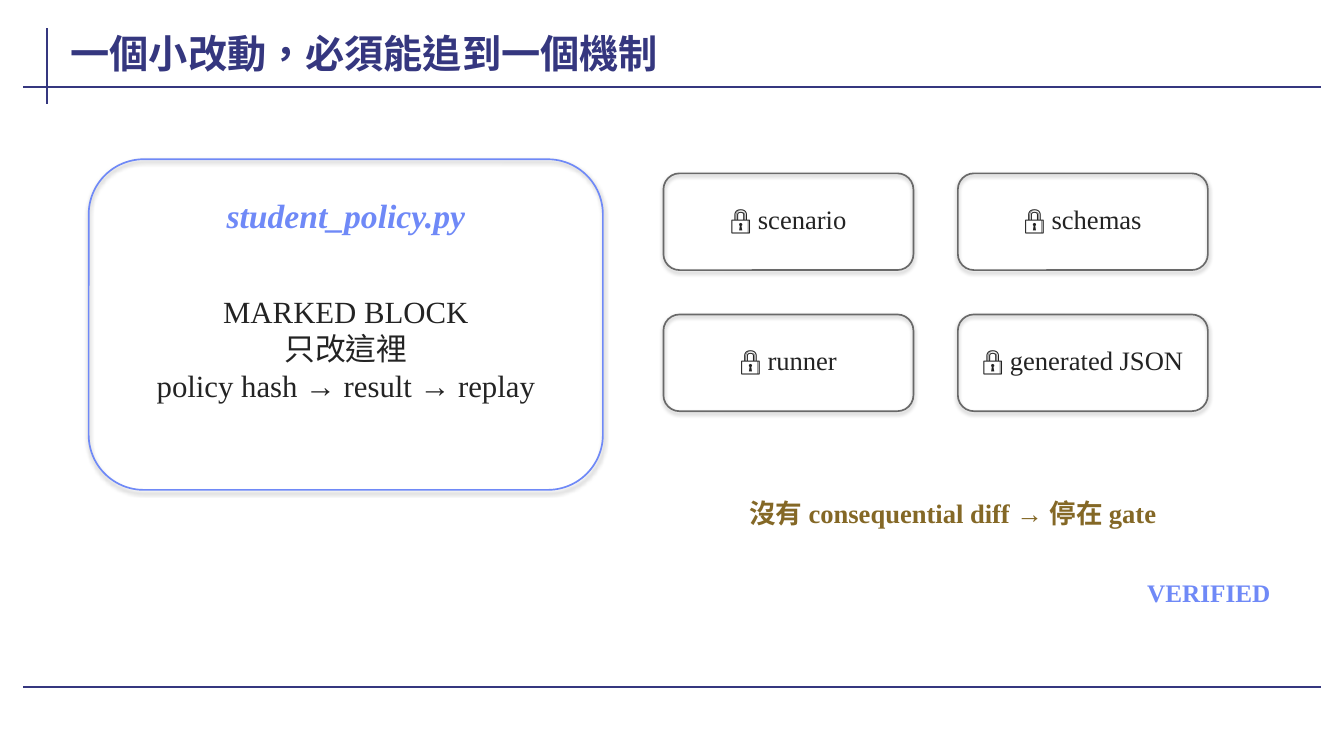
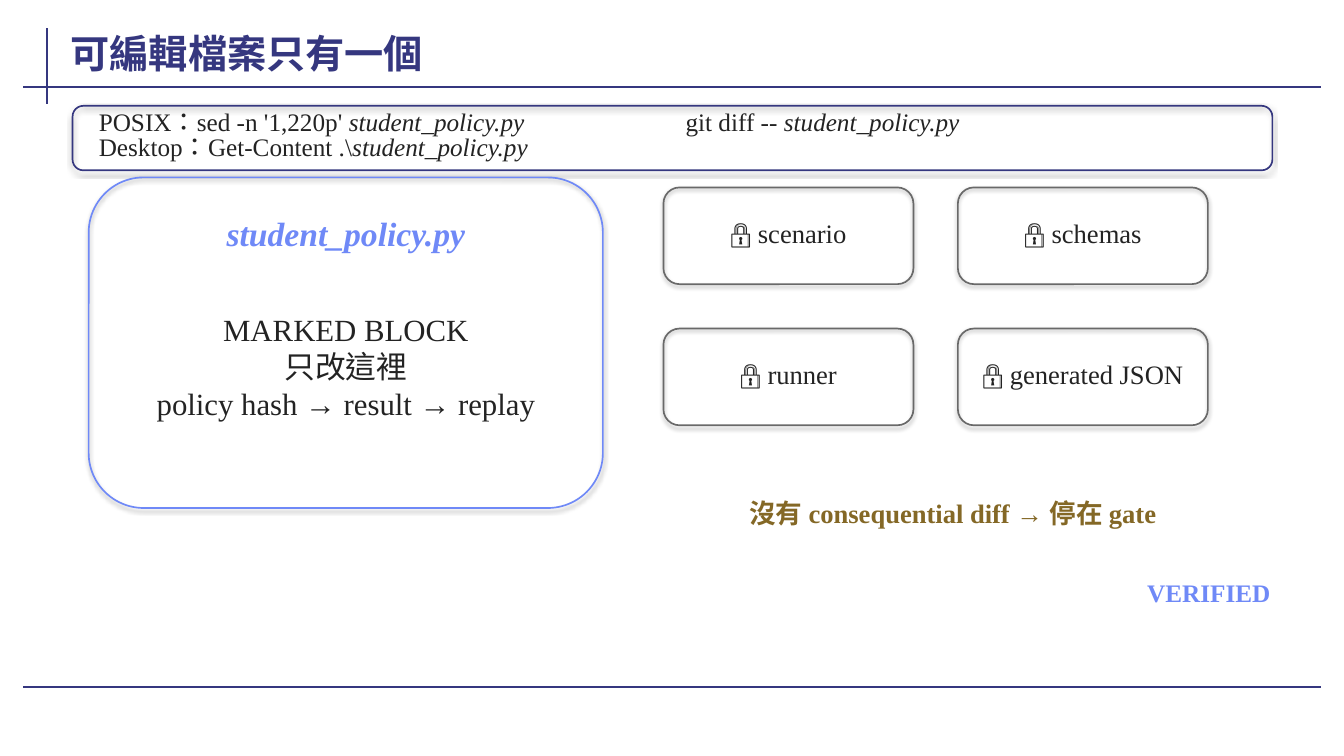
import dataclasses

import lxml.etree
import pptx
import pptx.dml.color
import pptx.enum.lang
import pptx.enum.shapes
import pptx.enum.text
import pptx.oxml.ns
import pptx.util

ALIGN = pptx.enum.text.PP_ALIGN
FIT = pptx.enum.text.MSO_AUTO_SIZE


@dataclasses.dataclass(frozen=True)
class Theme:
    font: str = "Times New Roman"
    # Colours
    navy: str = "35377F"
    blue: str = "6F89F7"
    grey: str = "696969"
    ink: str = "232323"
    gold: str = "846826"
    # Type sizes
    title: int = 28
    file_name: int = 24
    body: int = 22
    label: int = 19
    small: int = 18
    # Line widths
    rule: float = 1.5
    outline: float = 1.2


THEME = Theme()
EMU_PER_PX = 9144  # 100 px to the inch
POLICY_FILE = "student_policy.py"
LOCKED_PARTS = (("scenario", "schemas"), ("runner", "generated JSON"))
COMMANDS = (
    (90, 108, "POSIX：sed -n '1,220p' "),
    (90, 133, "Desktop：Get-Content .\\"),
    (672, 108, "git diff -- "),
)


def px(*lengths):
    return [pptx.util.Emu(length * EMU_PER_PX) for length in lengths]


def rgb(colour):
    return pptx.dml.color.RGBColor.from_string(colour)


def add_effect_list(element):
    """Give a shape its own effect list, empty to begin with."""
    properties = element.find(pptx.oxml.ns.qn("p:spPr"))
    return lxml.etree.SubElement(properties, pptx.oxml.ns.qn("a:effectLst"))


# Text
def add_run(paragraph, text, size, colour, bold=False, italic=False):
    run = paragraph.add_run()
    run.text = text
    font = run.font
    font.name, font.size = THEME.font, pptx.util.Pt(size)
    font.bold, font.italic = bold, italic
    font.color.rgb = rgb(colour)
    font.language_id = pptx.enum.lang.MSO_LANGUAGE_ID.TRADITIONAL_CHINESE


def set_frame(frame, insets, wrap=True, fit=FIT.SHAPE_TO_FIT_TEXT):
    across, down = px(*insets)
    frame.margin_left = frame.margin_right = across
    frame.margin_top = frame.margin_bottom = down
    frame.vertical_anchor = pptx.enum.text.MSO_ANCHOR.MIDDLE
    frame.word_wrap = wrap
    frame.auto_size = fit


def add_text(slide, box, lines, size, colour, align=ALIGN.CENTER,
             insets=(8, 6), wrap=True, **style):
    """Each line is a list of (text, italic) runs or a plain string."""
    frame = slide.shapes.add_textbox(*px(*box)).text_frame
    set_frame(frame, insets, wrap)
    for number, line in enumerate(lines):
        paragraph = frame.add_paragraph() if number else frame.paragraphs[0]
        paragraph.alignment = align
        if isinstance(line, str):
            add_run(paragraph, line, size, colour, **style)
            continue
        for text, italic in line:
            add_run(paragraph, text, size, colour, italic=italic)


# Outlined panel with a soft shadow
def add_panel(slide, box, colour):
    panel = slide.shapes.add_shape(
        pptx.enum.shapes.MSO_SHAPE.ROUNDED_RECTANGLE, *px(*box))
    panel.fill.background()
    panel.line.color.rgb = rgb(colour)
    panel.line.width = pptx.util.Pt(THEME.outline)
    qn = pptx.oxml.ns.qn
    shadow = lxml.etree.SubElement(
        add_effect_list(panel.element), qn("a:outerShdw"),
        blurRad="40000", dist="23000", dir="5400000", rotWithShape="0")
    black = lxml.etree.SubElement(shadow, qn("a:srgbClr"), val="000000")
    lxml.etree.SubElement(black, qn("a:alpha"), val="35000")


# Shared rules, kept on the layout
def add_layout_rules(layout, slide):
    ends = ((47, 28, 47, 103), (23, 86, 1310, 86), (23, 682, 1310, 682))
    for number, end in enumerate(ends):
        rule = slide.shapes.add_connector(
            pptx.enum.shapes.MSO_CONNECTOR.STRAIGHT, *px(*end))
        rule.line.color.rgb = rgb(THEME.navy)
        rule.line.width = pptx.util.Pt(THEME.rule)
        add_effect_list(rule.element)
        rule.element.xpath(".//p:cNvPr")[0].set("id", str(100 + number))
        layout.shapes.element.append(rule.element)


def add_title(slide, text):
    title = slide.shapes.title
    title.left, title.top, title.width, title.height = px(67, 25, 1242, 55)
    set_frame(title.text_frame, (3, 1), fit=FIT.NONE)
    paragraph = title.text_frame.paragraphs[0]
    paragraph.alignment = ALIGN.LEFT
    add_run(paragraph, text, THEME.title, THEME.navy, bold=True)


# Slide parts
def add_command_band(slide):
    add_panel(slide, (72, 105, 1190, 64), THEME.navy)
    for left, top, command in COMMANDS:
        add_text(slide, (left, top, 558, 25),
                 [[(command, False), (POLICY_FILE, True)]],
                 THEME.small, THEME.ink, align=ALIGN.LEFT, wrap=False)


def add_editable_file(slide, top):
    add_panel(slide, (88, top, 510, 328), THEME.blue)
    add_text(slide, (112, top + 29, 462, 52), [POLICY_FILE],
             THEME.file_name, THEME.blue, bold=True, italic=True)
    add_text(slide, (128, top + 106, 430, 162),
             ["MARKED BLOCK", "只改這裡", "policy hash → result → replay"],
             THEME.body, THEME.ink)


def add_locked_parts(slide, top):
    for row, names in enumerate(LOCKED_PARTS):
        for column, name in enumerate(names):
            x, y = 658 + 292 * column, top + 140 * row
            add_panel(slide, (x, y, 248, 96), THEME.grey)
            add_text(slide, (x + 8, y + 20, 232, 50), ["🔒 " + name],
                     THEME.label, THEME.ink)


def add_gate_notes(slide):
    add_text(slide, (662, 488, 566, 42), ["沒有 consequential diff → 停在 gate"],
             THEME.label, THEME.gold, bold=True)
    add_text(slide, (800, 572, 462, 32), ["VERIFIED"], THEME.small, THEME.blue,
             align=ALIGN.RIGHT, insets=(2, 0), bold=True)


def main():
    deck = pptx.Presentation()
    deck.slide_width, deck.slide_height = px(1333, 750)
    layout = deck.slide_layouts.get_by_name("Title Only")

    # Change and mechanism
    mechanism = deck.slides.add_slide(layout)
    add_layout_rules(layout, mechanism)
    add_title(mechanism, "一個小改動，必須能追到一個機制")
    add_editable_file(mechanism, 158)
    add_locked_parts(mechanism, 172)
    add_gate_notes(mechanism)

    # The one editable file
    editable = deck.slides.add_slide(layout)
    add_title(editable, "可編輯檔案只有一個")
    add_command_band(editable)
    add_editable_file(editable, 176)
    add_locked_parts(editable, 186)
    add_gate_notes(editable)

    deck.save("out.pptx")


if __name__ == "__main__":
    main()
